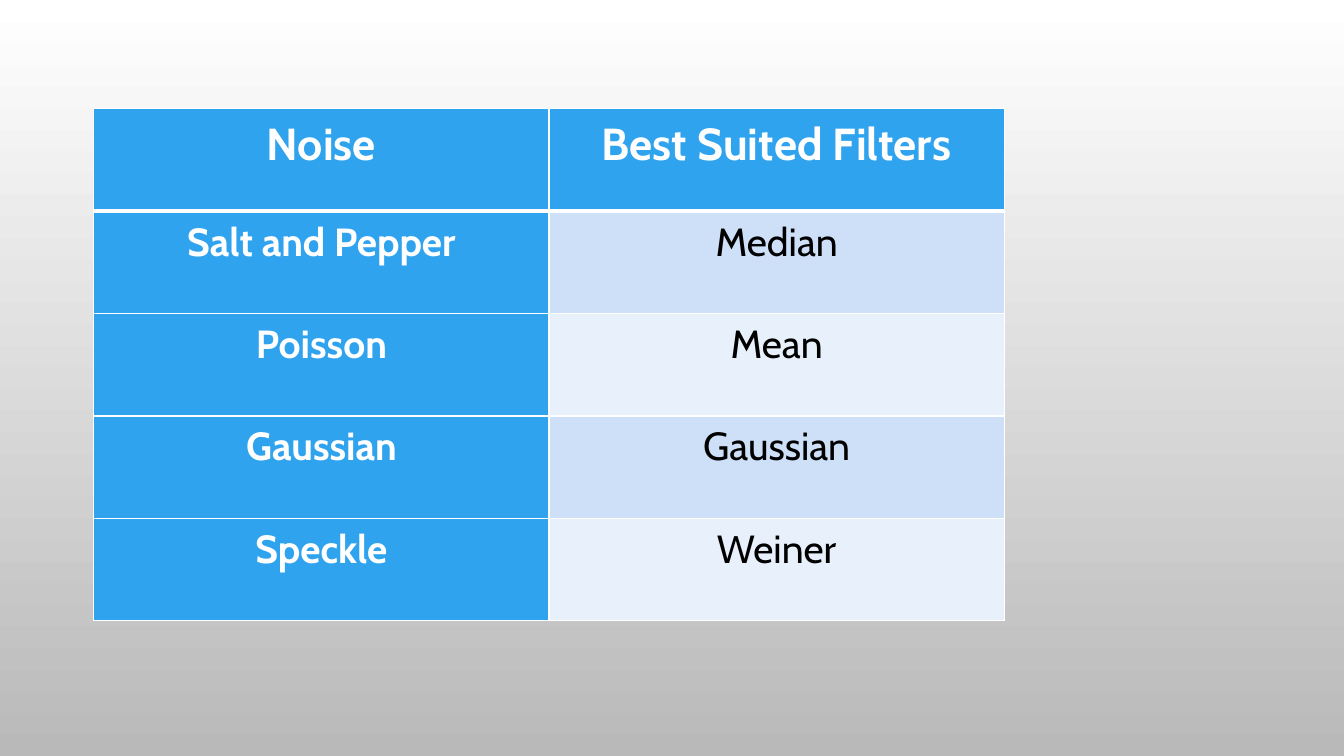
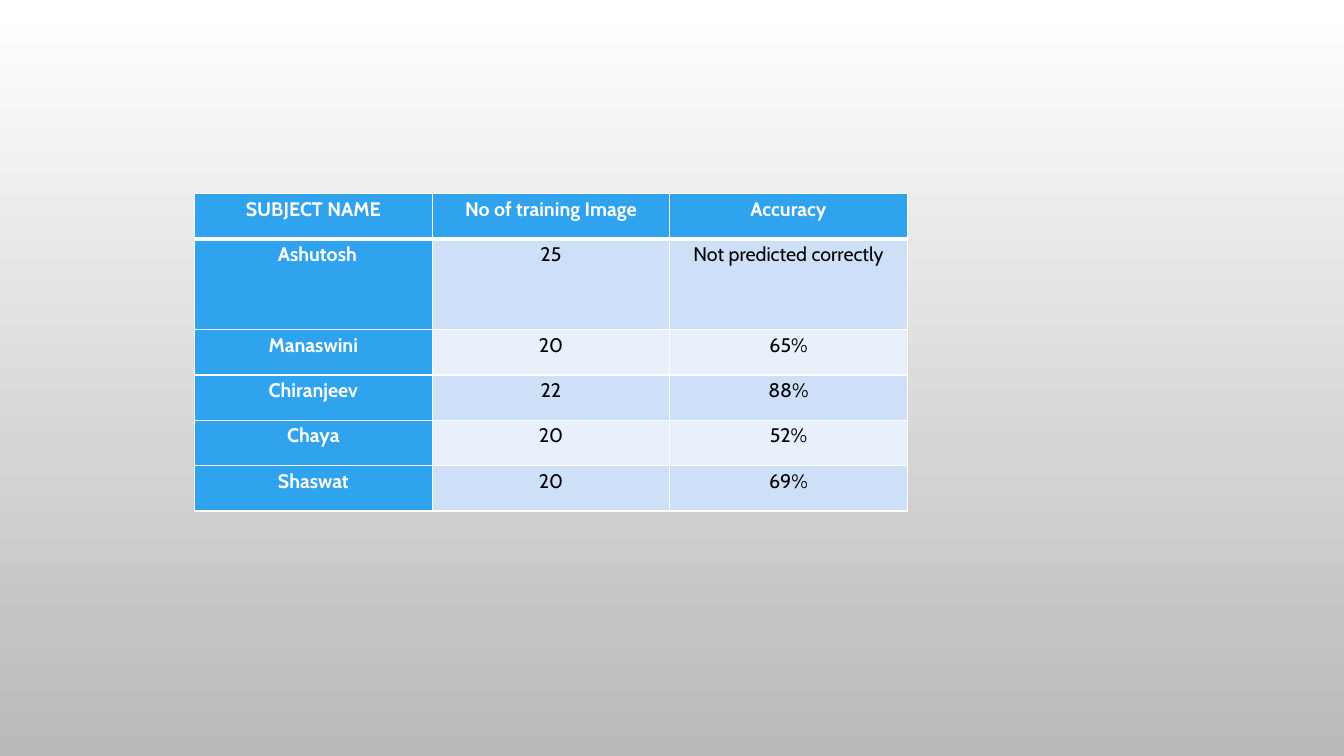
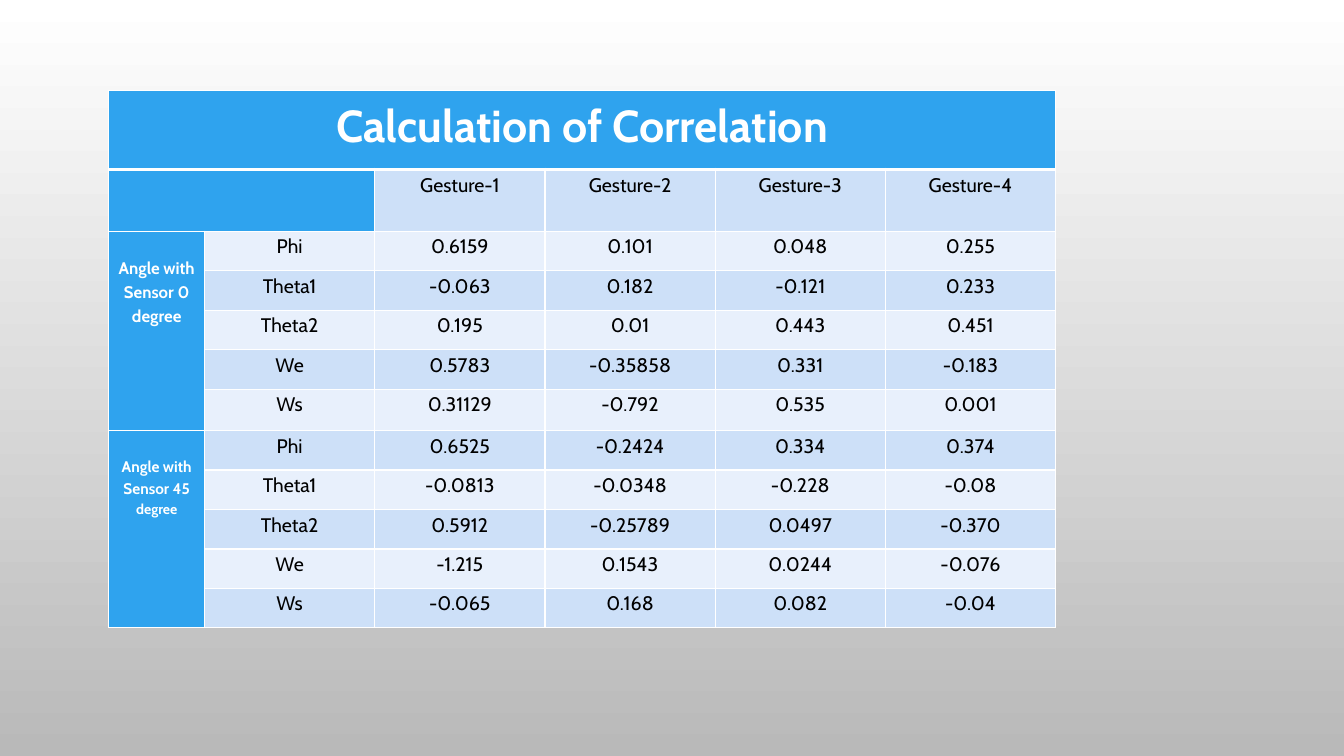
"""Build three slides of banded tables on noise filters, accuracy and correlation."""

from dataclasses import dataclass, field

from lxml.etree import SubElement
from pptx import Presentation
from pptx.dml.color import RGBColor
from pptx.enum.text import PP_ALIGN as Align
from pptx.oxml.ns import qn
from pptx.util import Inches, Pt

FONT = "Cabin"
WHITE = RGBColor(0xFF, 0xFF, 0xFF)
BLACK = RGBColor(0x00, 0x00, 0x00)
GRAY = RGBColor(0xB9, 0xB9, 0xB9)
BLUE = RGBColor(0x2F, 0xA3, 0xEE)
BAND_DARK = RGBColor(0xCD, 0xE0, 0xF8)
BAND_LIGHT = RGBColor(0xE8, 0xF0, 0xFC)

SIDE_MARGIN = Inches(0.07)
THIN, THICK = Pt(1), Pt(3)


@dataclass(frozen=True)
class Grid:
    """A table: its place in inches, relative column and row sizes, and text."""

    left: float
    top: float
    width: float
    height: float
    columns: list[float]
    rows: list[float]
    cells: list[list[str]]
    header_size: float
    body_size: float
    merges: list[tuple[int, int, int, int]] = field(default_factory=list)
    label_sizes: dict[int, float] = field(default_factory=dict)


NOISE = Grid(
    0.93, 1.08, 9.03, 5.08, [1] * 2, [1] * 5,
    [
        ["Noise", "Best Suited Filters"],
        ["Salt and Pepper", "Median"],
        ["Poisson", "Mean"],
        ["Gaussian", "Gaussian"],
        ["Speckle", "Weiner"],
    ],
    header_size=32, body_size=28,
)

ACCURACY = Grid(
    1.93, 1.92, 7.07, 3.15, [1] * 3, [1, 2, 1, 1, 1, 1],
    [
        ["SUBJECT NAME", "No of training Image", "Accuracy"],
        ["Ashutosh", "25", "Not predicted correctly"],
        ["Manaswini", "20", "65%"],
        ["Chiranjeev", "22", "88%"],
        ["Chaya", "20", "52%"],
        ["Shaswat", "20", "69%"],
    ],
    header_size=14, body_size=14,
)

CORRELATION = Grid(
    1.08, 0.9, 9.39, 5.33,
    [0.95] + [1.69] * 5,
    [0.78, 0.61] + [0.39] * 4 + [0.41] + [0.39] * 5,
    [
        ["Calculation of Correlation", "", "", "", "", ""],
        ["", "", "Gesture-1", "Gesture-2", "Gesture-3", "Gesture-4"],
        ["Angle with Sensor 0 degree", "Phi", "0.6159", "0.101", "0.048", "0.255"],
        ["", "Theta1", "-0.063", "0.182", "-0.121", "0.233"],
        ["", "Theta2", "0.195", "0.01", "0.443", "0.451"],
        ["", "We", "0.5783", "-0.35858", "0.331", "-0.183"],
        ["", "Ws", "0.31129", "-0.792", "0.535", "0.001"],
        ["Angle with Sensor 45 ", "Phi", "0.6525", "-0.2424", "0.334", "0.374"],
        ["", "Theta1", "-0.0813", "-0.0348", "-0.228", "-0.08"],
        ["", "Theta2", "0.5912", "-0.25789", "0.0497", "-0.370"],
        ["", "We", "-1.215", "0.1543", "0.0244", "-0.076"],
        ["", "Ws", "-0.065", "0.168", "0.082", "-0.04"],
    ],
    header_size=32, body_size=14,
    merges=[(0, 0, 0, 5), (1, 0, 1, 1), (2, 0, 6, 0), (7, 0, 11, 0)],
    label_sizes={2: 12, 7: 11},
)


def set_borders(cell, row: int) -> None:
    """Give a cell white borders, thick between the header and the body."""
    widths = {
        "a:lnL": THIN,
        "a:lnR": THIN,
        "a:lnT": THICK if row == 1 else THIN,
        "a:lnB": THICK if row == 0 else THIN,
    }
    properties = cell._tc.get_or_add_tcPr()
    for tag, width in widths.items():
        line = SubElement(properties, qn(tag), w=str(int(width)))
        fill = SubElement(line, qn("a:solidFill"))
        SubElement(fill, qn("a:srgbClr"), val=str(WHITE))


def format_span(span, size: float, heading: bool) -> None:
    """Set the font of one run."""
    span.font.name = FONT
    span.font.size = Pt(size)
    span.font.bold = heading
    span.font.color.rgb = WHITE if heading else BLACK


def fill_cell(cell, text: str, size: float, row: int, column: int) -> None:
    """Write and style one table cell by its place in the grid."""
    heading = row == 0 or column == 0
    set_borders(cell, row)
    cell.margin_left = cell.margin_right = SIDE_MARGIN
    cell.margin_top = cell.margin_bottom = 0
    cell.fill.solid()
    cell.fill.fore_color.rgb = BLUE if heading else BAND_DARK if row % 2 else BAND_LIGHT
    cell.text_frame.text = text
    para = cell.text_frame.paragraphs[0]
    para.alignment = Align.CENTER
    para.line_spacing = 1.15
    for span in para.runs:
        format_span(span, size, heading)


def add_grid(deck, grid: Grid):
    """Add a slide that holds one table, and return the table."""
    slide = deck.slides.add_slide(deck.slide_layouts[6])
    table = slide.shapes.add_table(
        len(grid.rows), len(grid.columns),
        Inches(grid.left), Inches(grid.top), Inches(grid.width), Inches(grid.height),
    ).table
    table.first_row = table.horz_banding = False
    for column, share in zip(table.columns, grid.columns):
        column.width = Inches(grid.width * share / sum(grid.columns))
    for row, share in zip(table.rows, grid.rows):
        row.height = Inches(grid.height * share / sum(grid.rows))
    for row, texts in enumerate(grid.cells):
        for column, text in enumerate(texts):
            size = grid.body_size if row else grid.header_size
            if column == 0:
                size = grid.label_sizes.get(row, size)
            fill_cell(table.cell(row, column), text, size, row, column)
    for top, left, bottom, right in grid.merges:
        table.cell(top, left).merge(table.cell(bottom, right))
    for row in grid.label_sizes:
        table.cell(row, 0).margin_top = Inches(0.24)
    return table


def set_background(deck) -> None:
    """Give every slide a white to gray gradient through the master."""
    fill = deck.slide_master.background.fill
    fill.gradient()
    fill.gradient_angle = 270
    for stop, position, color in zip(fill.gradient_stops, (0, 1), (WHITE, GRAY)):
        stop.position = position
        stop.color.rgb = color


def main() -> None:
    """Build and save the deck."""
    deck = Presentation()
    deck.slide_width, deck.slide_height = Inches(13.33), Inches(7.5)
    set_background(deck)

    add_grid(deck, NOISE)

    accuracy = add_grid(deck, ACCURACY)
    accuracy.cell(1, 0).margin_left = Inches(0.15)

    correlation = add_grid(deck, CORRELATION)
    degree = correlation.cell(7, 0).text_frame.paragraphs[0].add_run()
    degree.text = "degree"
    format_span(degree, 10, True)

    deck.save("out.pptx")


if __name__ == "__main__":
    main()
